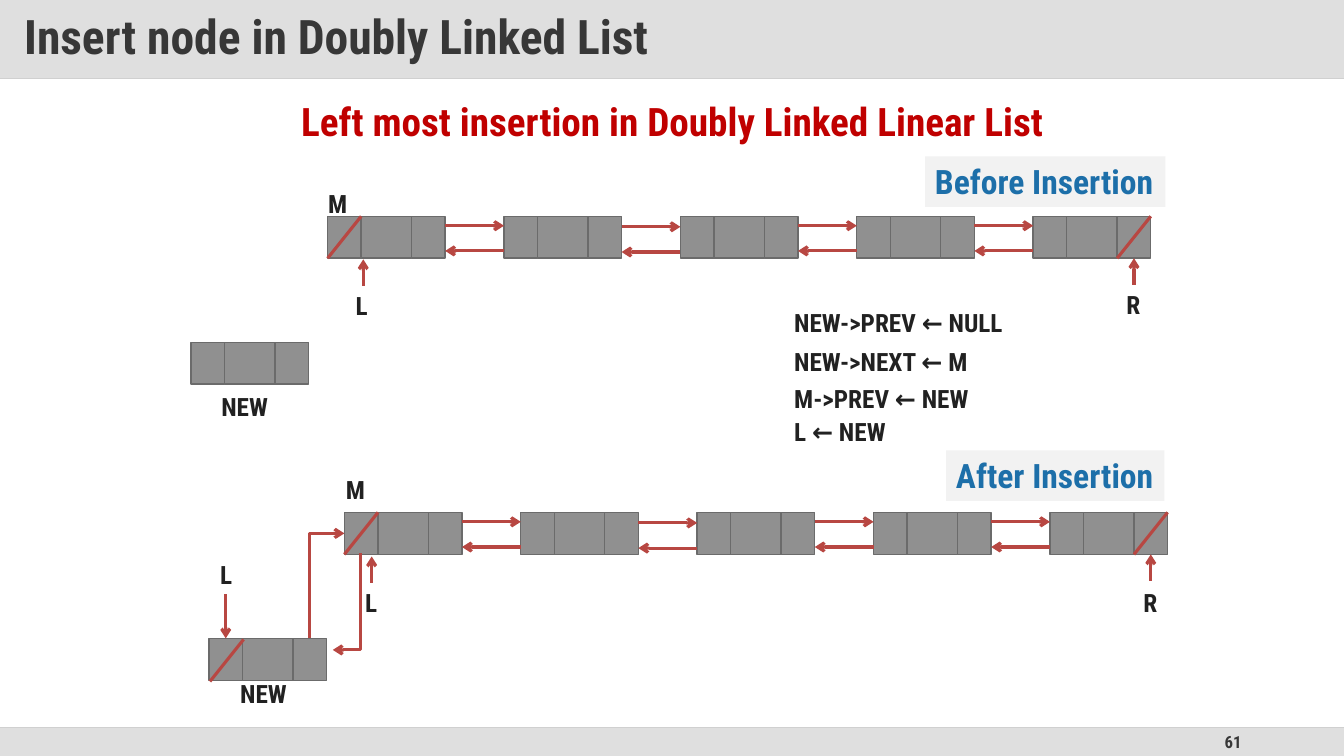
from lxml.etree import SubElement
from pptx import Presentation
from pptx.dml.color import RGBColor
from pptx.enum.shapes import MSO_CONNECTOR, MSO_SHAPE
from pptx.enum.text import MSO_ANCHOR, PP_ALIGN
from pptx.oxml.ns import qn
from pptx.util import Pt

PX = 9525  # 96 px to the inch
BAR = RGBColor(0xDF, 0xDF, 0xDF)
RULE = RGBColor(0xD0, 0xD0, 0xD0)
DARK = RGBColor(0x37, 0x37, 0x37)
INK = RGBColor(0x21, 0x21, 0x21)
NODE = RGBColor(0x90, 0x90, 0x90)
EDGE = RGBColor(0x6B, 0x6B, 0x6B)
LINK = RGBColor(0xB8, 0x47, 0x42)
RED = RGBColor(0xC0, 0x00, 0x00)
BLUE = RGBColor(0x1D, 0x6F, 0xA9)
PALE = RGBColor(0xF2, 0xF2, 0xF2)

deck = Presentation()
deck.slide_width, deck.slide_height = 1280 * PX, 720 * PX
slide = deck.slides.add_slide(deck.slide_layouts[6])
shapes = slide.shapes


def add_text(text, x, y, w, h, size=18, color=INK, align=PP_ALIGN.CENTER, fill=None):
    box = shapes.add_textbox(x * PX, y * PX, w * PX, h * PX)
    if fill is not None:
        box.fill.solid()
        box.fill.fore_color.rgb = fill
    frame = box.text_frame
    frame.word_wrap = False
    para = frame.paragraphs[0]
    para.alignment = align
    run = para.add_run()
    run.text = text
    font = run.font
    font.name, font.size, font.bold = "Roboto Condensed", Pt(size), True
    font.color.rgb = color
    return box


def add_line(x1, y1, x2, y2, color=LINK, width=2.25, arrow=True):
    line = shapes.add_connector(MSO_CONNECTOR.STRAIGHT, x1 * PX, y1 * PX, x2 * PX, y2 * PX)
    line.line.color.rgb = color
    line.line.width = Pt(width)
    if arrow:
        SubElement(line.line._get_or_add_ln(), qn("a:tailEnd"), type="arrow")
    SubElement(line._element.spPr, qn("a:effectLst"))
    return line


# Title and footer bars
for top, high in ((0, 75), (693, 27)):
    bar = shapes.add_shape(MSO_SHAPE.RECTANGLE, 0, top * PX, 1280 * PX, high * PX)
    bar.shadow.inherit = False
    bar.fill.solid()
    bar.fill.fore_color.rgb = BAR
    bar.line.fill.background()
for y in (75, 693):
    add_line(0, y, 1280, y, RULE, 1, arrow=False)

title = add_text("Insert node in Doubly Linked List", 0, 0, 1280, 75, 34, DARK, PP_ALIGN.LEFT)
title.text_frame.margin_left = 23 * PX
title.text_frame.vertical_anchor = MSO_ANCHOR.MIDDLE
title.text_frame.paragraphs[0].line_spacing = 0.9
page = add_text("61", 904, 693, 288, 27, 12, DARK, PP_ALIGN.RIGHT)
page.text_frame.vertical_anchor = MSO_ANCHOR.MIDDLE
add_text("Left most insertion in Doubly Linked Linear List", 274, 88, 732, 55, 28, RED)

# Nodes: five in each list, then the two new ones
STEP, WIDE, HIGH = 168, 112, 40
rows = ((312, 206), (328, 488))
spots = [(x + STEP * i, y) for x, y in rows for i in range(5)]
spots += [(182, 326), (199, 608)]
nodes = []
for x, y in spots:
    group = shapes.add_group_shape()
    cells = []
    for dx, w in ((0, 32), (32, 48), (80, 32)):
        cell = group.shapes.add_shape(MSO_SHAPE.RECTANGLE, (x + dx) * PX, y * PX, w * PX, HIGH * PX)
        cell.shadow.inherit = False
        cell.fill.solid()
        cell.fill.fore_color.rgb = NODE
        cell.line.color.rgb = EDGE
        cell.line.width = Pt(1)
        cells.append(cell)
    nodes.append(cells)

# Links between neighbours, null marks and right pointers
for row, (x, y) in enumerate(rows):
    for i in range(4):
        left, right = x + STEP * i + WIDE, x + STEP * (i + 1)
        drop = 1 if i == 1 else 0
        add_line(left, y + 9 + drop, right, y + 9 + drop)
        add_line(right, y + 33 + drop, left, y + 33 + drop)
    for dx in (0, STEP * 4 + 80):
        add_line(x + dx + 32, y, x + dx, y + HIGH, arrow=False)
    mid = x + STEP * 4 + 96
    add_line(mid, y + 65, mid, y + HIGH).end_connect(nodes[row * 5 + 4][2], 2)

# Left pointers and the new node's null mark
add_line(346, 272, 346, 247)
add_line(354, 555, 354, 530)
add_line(215, 566, 215, 608).end_connect(nodes[-1][0], 0)
add_line(232, 609, 200, 649, arrow=False)

# Bent links between the new node and M
for start, *bends in (
    ((343, 527), (343, 619), (317, 619)),
    ((295, 608), (295, 508), (328, 508)),
):
    pen = shapes.build_freeform(*start, scale=PX)
    pen.add_line_segments(bends, close=False)
    bent = pen.convert_to_shape()
    bent.shadow.inherit = False
    bent.fill.background()
    bent.line.color.rgb = LINK
    bent.line.width = Pt(2.25)
    SubElement(bent.line._get_or_add_ln(), qn("a:tailEnd"), type="arrow")

# Node labels
for text, x, y, w in (
    ("M", 303, 175, 37), ("L", 329, 272, 31), ("R", 1063, 271, 33), ("NEW", 201, 368, 64),
    ("M", 320, 447, 37), ("L", 338, 555, 31), ("R", 1079, 555, 33), ("NEW", 219, 641, 64),
    ("L", 200, 528, 31),
):
    add_text(text, x, y, w, 38)

# Steps of the algorithm
for text, y, w in (
    ("NEW->PREV ← NULL", 288, 224),
    ("NEW->NEXT ← M", 325, 191),
    ("M->PREV ← NEW", 360, 190),
    ("L ← NEW", 392, 114),
):
    add_text(text, 747, y, w, 38, align=PP_ALIGN.LEFT)

# Stage tags
for text, x, y, w in (("Before Insertion", 881, 149, 229), ("After Insertion", 901, 429, 208)):
    add_text(text, x, y, w, 48, 24, BLUE, PP_ALIGN.LEFT, PALE)

deck.save("out.pptx")
